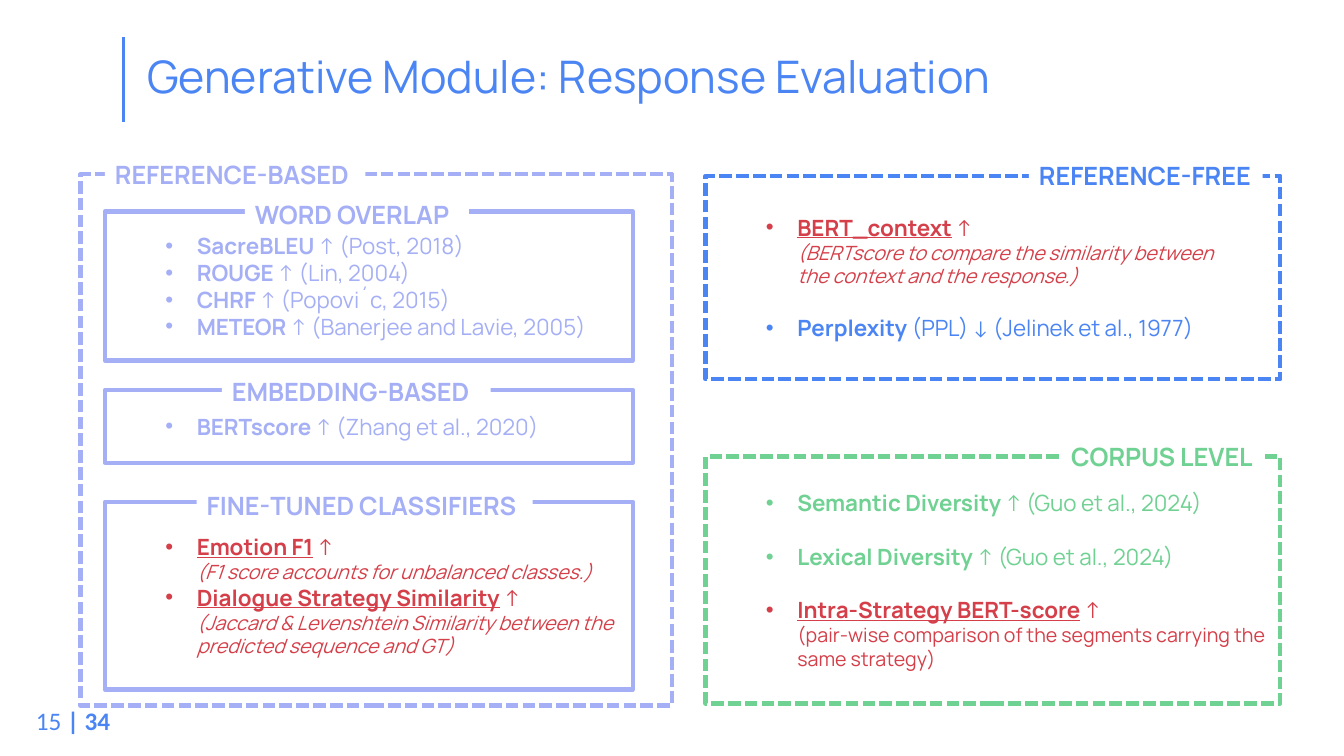
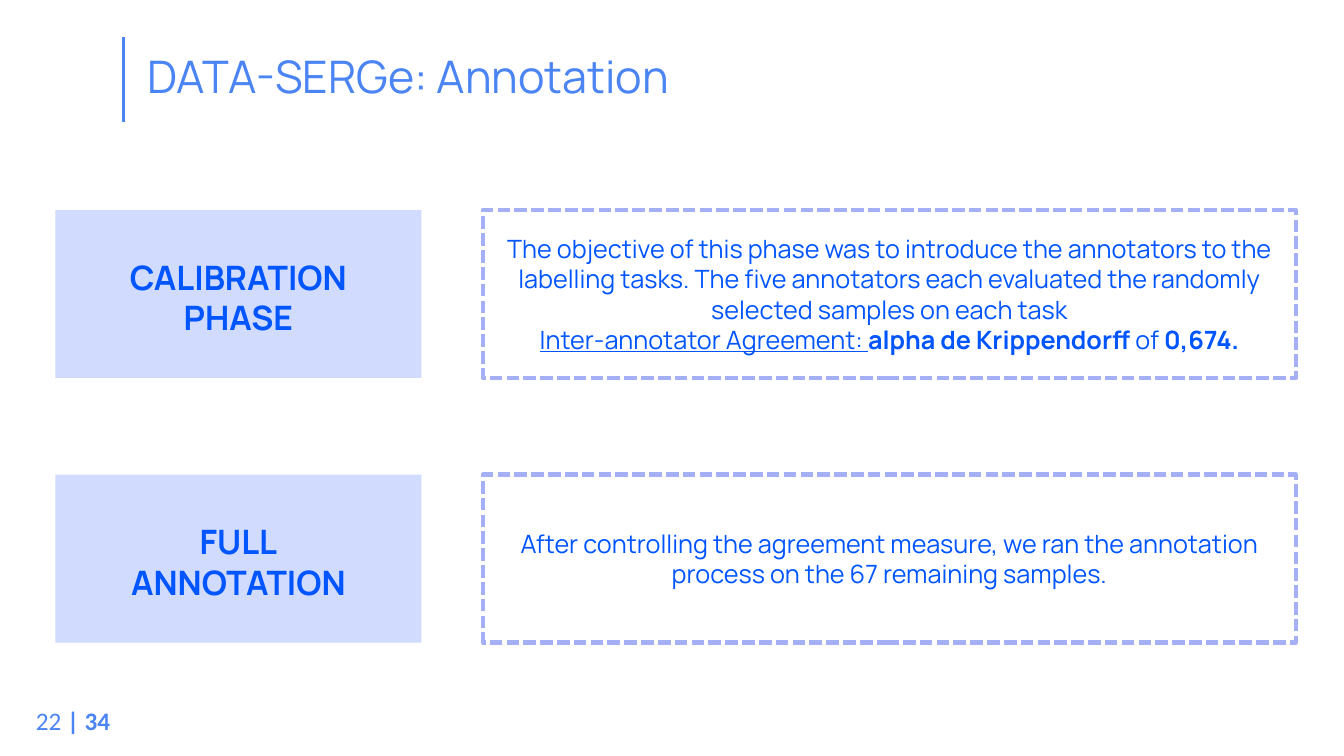
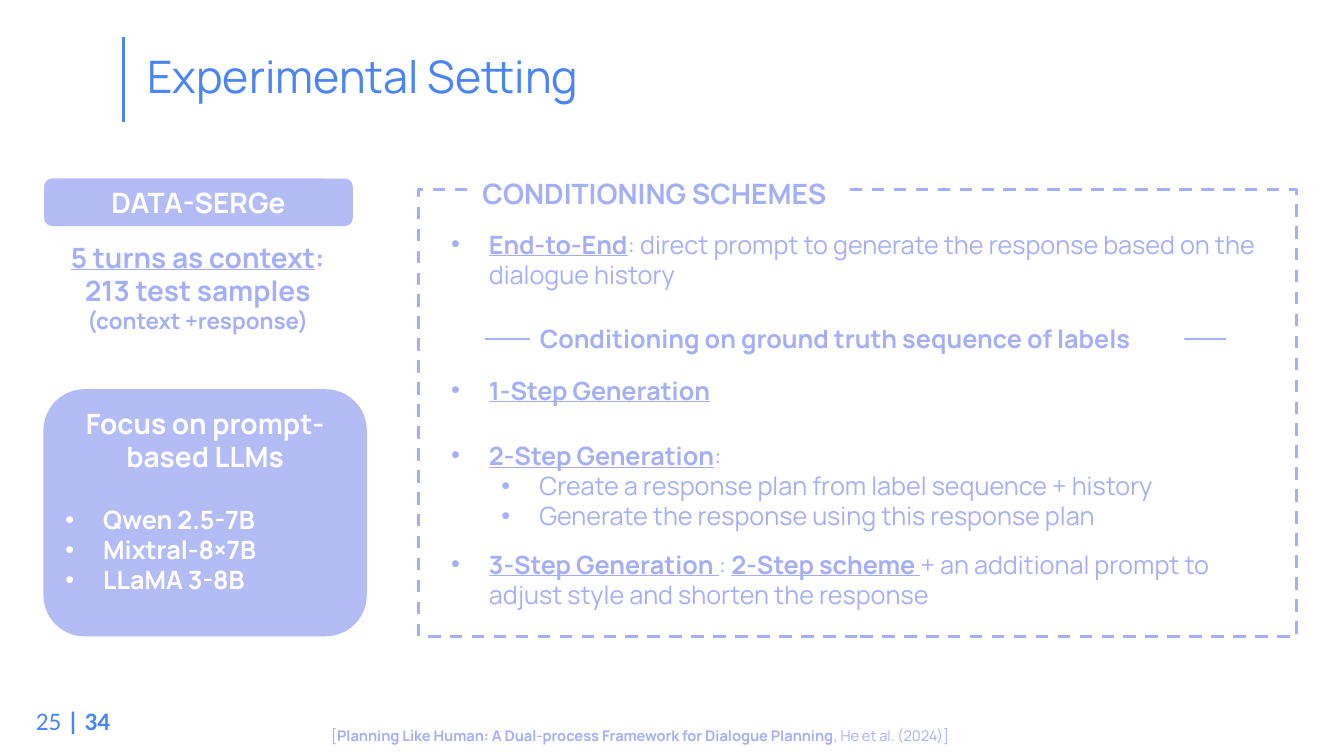
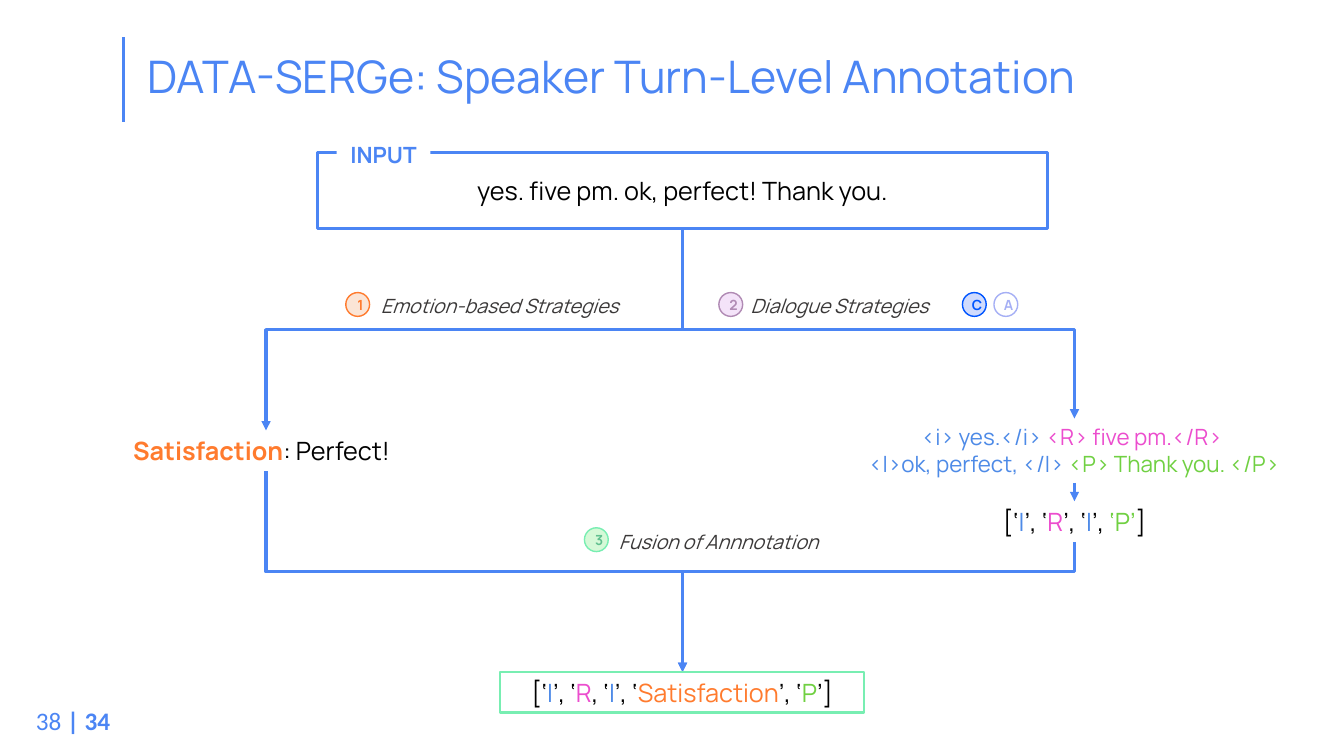
from copy import deepcopy

from pptx import Presentation
from pptx.dml.color import RGBColor
from pptx.enum.dml import MSO_LINE
from pptx.enum.shapes import MSO_CONNECTOR, MSO_SHAPE
from pptx.enum.text import MSO_ANCHOR, MSO_AUTO_SIZE, PP_ALIGN
from pptx.oxml.ns import qn
from pptx.oxml.xmlchemy import OxmlElement
from pptx.util import Pt

RECT, ROUND, OVAL = MSO_SHAPE.RECTANGLE, MSO_SHAPE.ROUNDED_RECTANGLE, MSO_SHAPE.OVAL
LINE, ELBOW = MSO_CONNECTOR.STRAIGHT, MSO_CONNECTOR.ELBOW
DOTS, DASH = MSO_LINE.SQUARE_DOT, MSO_LINE.DASH
LEFT, MID = PP_ALIGN.LEFT, PP_ALIGN.CENTER
TOP, CORE = MSO_ANCHOR.TOP, MSO_ANCHOR.MIDDLE

FONT = "Manrope"
TOTAL = 34
HUES = {
    "blue": "4B85F4", "lilac": "A5AFF5", "green": "6FD192", "red": "D43F49",
    "royal": "0055FF", "pale": "D0DBFD", "white": "FFFFFF", "black": "000000",
    "gray": "3A3838", "orange": "FF7B2E", "peach": "FBE5D6", "plum": "B08AB4",
    "mauve": "F4E3F9", "mint": "78EEB2", "foam": "D5F9D7", "leaf": "60C08F",
    "sky": "4D8AE7", "pink": "EC4DCE", "lime": "70D042",
}
DEEP, FLAT, SUB = (58.5, 22.5), (27, 27), (63, 27)


def para(*runs, dot=None, gap=0, align=LEFT):
    """A paragraph; a run is text or (text, flags from "bui", hue, size)."""
    return {"runs": runs, "dot": dot, "gap": gap, "align": align}


def item(*runs, gap=0):
    return para(*runs, dot=DEEP, gap=gap)


def cite(name, rest, gap=0):
    return item((name, "b"), rest, gap=gap)


def key(name, *more, gap=0):
    """A list item for one of the authors' own measures."""
    return item((name, "bu", "red"), (" ↑\v", "", "red"), *more, gap=gap)


# label, its left, top and width; frame; hue; dash; list
PANELS = [
    ("REFERENCE-BASED", (75, 110, 186), (57.5, 124.5, 422.5, 379.5), "lilac", DOTS, []),
    ("WORD OVERLAP", (175, 138.5, 160), (75, 151, 377, 106.5), "lilac", None, [
        cite("SacreBLEU", " ↑ (Post, 2018)"),
        cite("ROUGE", " ↑ (Lin, 2004)"),
        cite("CHRF", " ↑ (Popovi´c, 2015)"),
        cite("METEOR", " ↑ (Banerjee and Lavie, 2005)")]),
    ("EMBEDDING-BASED", (158.5, 265, 192), (75, 278.5, 377, 52), "lilac", None, [
        cite("BERTscore", " ↑ (Zhang et al., 2020)")]),
    ("FINE-TUNED CLASSIFIERS", (140.5, 347, 240), (75, 358.5, 377, 134), "lilac", None, [
        key("Emotion F1",
            ("(F1 score accounts for unbalanced classes.)", "i", "red", 14)),
        key("Dialogue Strategy Similarity",
            ("(Jaccard & Levenshtein Similarity between the predicted sequence and GT)",
             "i", "red", 14))]),
    ("REFERENCE-FREE", (735, 111, 167), (504, 125.5, 410.5, 145.5), "blue", DOTS, [
        key("BERT_context",
            ("(BERTscore to compare the similarity between\vthe context and the response.)",
             "i", "red", 14)),
        cite("Perplexity", " (PPL) ↓ (Jelinek et al., 1977)", gap=19)]),
    ("CORPUS LEVEL", (758, 312, 144), (504, 326, 410.5, 176.5), "green", DOTS, [
        cite("Semantic Diversity ", "↑ (Guo et al., 2024)"),
        cite("Lexical Diversity ", "↑ (Guo et al., 2024)", gap=19),
        key("Intra-Strategy BERT-score",
            ("(pair-wise comparison of the segments carrying the same strategy)",
             "", "red", 14), gap=19)]),
]

PHASES = [
    ("CALIBRATION\vPHASE", [
        "The objective of this phase was to introduce the annotators to the labelling "
        "tasks. The five annotators each evaluated the randomly selected samples on "
        "each task\v",
        ("Inter-annotator Agreement: ", "u"), ("alpha de Krippendorff ", "b"),
        "of ", ("0,674.", "b")]),
    ("FULL\vANNOTATION", [
        "After controlling the agreement measure, we ran the annotation process on "
        "the 67 remaining samples."]),
]

SCHEMES = [
    para(("End-to-End", "bu"), ": direct prompt to generate the response based on "
         "the dialogue history", dot=FLAT),
    para(("1-Step Generation", "bu"), dot=FLAT, gap=61),
    para(("2-Step Generation", "bu"), ":", dot=FLAT, gap=25),
    para("Create a response plan from label sequence + history", dot=SUB),
    para("Generate the response using this response plan", dot=SUB),
    para(("3-Step Generation ", "bu"), ": ", ("2-Step scheme ", "bu"),
         "+ an additional prompt to adjust style and shorten the response",
         dot=FLAT, gap=13),
]
MODELS = ["Qwen 2.5-7B", "Mixtral-8×7B", "LLaMA 3-8B"]

STEPS = [  # text, left, top, width
    ("Emotion-based Strategies", 265, 206.5, 201),
    ("Dialogue Strategies", 529, 206.5, 157),
    ("Fusion of Annnotation", 435, 375, 174),
]
BADGES = [  # text, left, top, fill, line, ink
    ("1", 247, 209, "peach", "orange", "orange"),
    ("2", 513.5, 209, "mauve", "plum", "plum"),
    ("3", 417.5, 377, "foam", "mint", "leaf"),
    ("C", 687.5, 209, "pale", "royal", "royal"),
    ("A", 710, 209, "white", "lilac", "lilac"),
]
I, R, P = ("I", "", "sky"), ("R", "", "pink"), ("P", "", "lime")
TAGS = [("<i> yes.</i> ", "", "sky"), ("<R> five pm.</R> \v", "", "pink"),
        ("<I>ok, perfect, </I> ", "", "sky"), ("<P> Thank you. </P>", "", "lime")]
LABELS = ["[‘", I, "’, ‘", R, "’, ‘", I, "’, ", ("‘P’", "", "lime"), "]"]
FUSED = ["[‘", I, "’, ‘", R, ", ‘", I, "’, ‘", ("Satisfaction", "", "orange"),
         "’, ‘", P, "’]"]


def rgb(hue):
    return RGBColor.from_string(HUES[hue])


def add_dot(line, left, hang):
    props = line._p.get_or_add_pPr()
    props.set("marL", str(Pt(left)))
    props.set("indent", str(-Pt(hang)))
    for tag, name, value in (("a:buFont", "typeface", "Arial"), ("a:buChar", "char", "•")):
        mark = OxmlElement(tag)
        mark.set(name, value)
        props.append(mark)


def add_text(line, text, flags, hue, size, face=FONT):
    """Add styled runs, with a line break at each vertical tab."""
    for n, piece in enumerate(text.split("\v")):
        if n:
            line.add_line_break()
            line._p[-1].append(deepcopy(run._r.rPr))
        if not piece:
            continue
        run = line.add_run()
        run.text = piece
        font = run.font
        font.name, font.size = face, Pt(size)
        font.bold, font.italic, font.underline = ("b" in flags, "i" in flags, "u" in flags)
        font.color.rgb = rgb(hue)


def write(frame, paras, hue, size, anchor=TOP, face=FONT):
    frame.word_wrap = True
    frame.auto_size = MSO_AUTO_SIZE.NONE
    frame.vertical_anchor = anchor
    for n, spec in enumerate(paras):
        line = frame.add_paragraph() if n else frame.paragraphs[0]
        if spec["dot"]:
            add_dot(line, *spec["dot"])
        line.alignment = spec["align"]
        line.space_before = Pt(spec["gap"])
        for run in spec["runs"]:
            run = (run,) if isinstance(run, str) else run
            text, flags, ink, big = run + ("", "", hue, size)[len(run):]
            add_text(line, text, flags, ink, big, face)


def note(slide, rect, paras, hue, size, fill=None, face=FONT):
    shape = slide.shapes.add_textbox(*map(Pt, rect))
    if fill:
        shape.fill.solid()
        shape.fill.fore_color.rgb = rgb(fill)
    write(shape.text_frame, paras, hue, size, face=face)


def box(slide, rect, kind=RECT, fill=None, line=None, width=3, dash=None):
    shape = slide.shapes.add_shape(kind, *map(Pt, rect))
    shape.shadow.inherit = False
    if fill:
        shape.fill.solid()
        shape.fill.fore_color.rgb = rgb(fill)
    else:
        shape.fill.background()
    if line:
        shape.line.color.rgb = rgb(line)
        shape.line.width = Pt(width)
        if dash:
            shape.line.dash_style = dash
    else:
        shape.line.fill.background()
    return shape


def fade(shape, share):
    """Set the opacity of a solid fill, in percent."""
    alpha = OxmlElement("a:alpha")
    alpha.set("val", str(share * 1000))
    shape._element.spPr.find(".//" + qn("a:srgbClr")).append(alpha)


def rule(slide, start, end, kind=LINE, hue="blue", width=2.25, head=False):
    link = slide.shapes.add_connector(kind, *map(Pt, start + end))
    link.line.color.rgb = rgb(hue)
    link.line.width = Pt(width)
    if head:
        tip = OxmlElement("a:tailEnd")
        tip.set("type", "triangle")
        link.line._get_or_add_ln().append(tip)
    link._element.spPr.append(OxmlElement("a:effectLst"))
    return link


def bend(slide, start, end, turn):
    """Arrow that goes down, across at height turn, and down again."""
    (x, y), (to, low) = start, end
    half, rise = (low - y) / 2, abs(to - x) / 2
    mid, core = (x + to) / 2, (y + low) / 2
    link = rule(slide, (mid - half, core - rise), (mid + half, core + rise),
                ELBOW, head=True)
    props = link._element.spPr
    frame = props.find(qn("a:xfrm"))
    frame.set("rot", str((90 if to < x else 270) * 60000))
    if to > x:
        frame.set("flipH", "1")
    guide = OxmlElement("a:gd")
    guide.set("name", "adj1")
    guide.set("fmla", f"val {round((turn - y) / (low - y) * 100000)}")
    props.find(qn("a:prstGeom")).get_or_add_avLst().append(guide)


def page(deck, title, number, layout=5):
    slide = deck.slides.add_slide(deck.slide_layouts[layout])
    head = slide.shapes.title
    head.left, head.top, head.width, head.height = map(Pt, (98, 4, 828, 104.5))
    write(head.text_frame, [para(title)], "blue", 32, CORE)
    head.text_frame.paragraphs[0].line_spacing = 0.9
    rule(slide, (88.5, 26.5), (88.5, 87))
    note(slide, (18.5, 500.5, 80, 29), [para(f"{number} ", (f"| {TOTAL}", "b"))],
         "blue", 18, face="Calibri")
    return slide


def metrics(deck):
    slide = page(deck, "Generative Module: Response Evaluation", 15)
    for name, (x, y, wide), frame, hue, dash, rows in PANELS:
        shape = box(slide, frame, fill="white", line=hue, dash=dash)
        if rows:
            write(shape.text_frame, rows, hue, 16, CORE)
        note(slide, (x, y, wide, 29), [para((name, "b"))], hue, 18, "white")


def phases(deck):
    slide = page(deck, "DATA-SERGe: Annotation", 22)
    for n, (name, runs) in enumerate(PHASES):
        y = 150 + 189 * n
        card = box(slide, (39.5, y, 261.5, 120), fill="pale")
        card.text_frame.margin_top = Pt(8)
        write(card.text_frame, [para((name, "b"), align=MID)], "royal", 24, CORE)
        side = box(slide, (345, y, 580.5, 120), fill="white", line="lilac", dash=DOTS)
        write(side.text_frame, [para(*runs, align=MID)], "royal", 18, CORE)


def setting(deck):
    slide = page(deck, "Experimental Setting", 25, layout=1)
    body = slide.placeholders[1]
    body.left, body.top, body.width, body.height = map(Pt, (315, 160, 592, 282))
    write(body.text_frame, SCHEMES, "lilac", 18)
    box(slide, (299, 135.5, 627, 319), line="lilac", width=2.25, dash=DASH)
    note(slide, (337.5, 122.5, 266.5, 31.5), [para(("CONDITIONING SCHEMES", "b"))],
         "lilac", 20, "white")
    rule(slide, (346.5, 242), (875.5, 242), hue="lilac", width=1.5)
    note(slide, (378.5, 227.5, 467.5, 29),
         [para(("Conditioning on ground truth sequence of labels", "b"))],
         "lilac", 18, "white")

    data = box(slide, (31.5, 127.5, 220.5, 34), ROUND, "lilac")
    write(data.text_frame, [para(("DATA-SERGe", "b"), align=MID)], "white", 20, CORE)
    focus = box(slide, (31, 278, 231, 176.5), ROUND, "lilac")
    rows = [para(("Focus on prompt-based LLMs", "b", "white", 20), align=MID)]
    rows += [para((name, "b"), dot=FLAT, gap=0 if n else 22)
             for n, name in enumerate(MODELS)]
    write(focus.text_frame, rows, "white", 18)
    for shape in (data, focus):
        fade(shape, 83)
    note(slide, (31, 168, 220.5, 78),
         [para(("5 turns as context", "bu"), (": 213 test samples\v", "b"),
               ("(context +response)", "b", "lilac", 16), align=MID)], "lilac", 20)
    note(slide, (229.5, 515.5, 501, 20),
         [para("[", ("Planning Like Human: A Dual-process Framework for Dialogue "
                     "Planning", "b"), ", He et al. (2024)]")], "lilac", 10.5)


def turns(deck):
    slide = page(deck, "DATA-SERGe: Speaker Turn-Level Annotation", 38)
    west, core, east = 190, 487.5, 767.5
    fork, join, end = 235.5, 408.5, 480
    bend(slide, (core, 163.5), (west, 307.5), fork)
    bend(slide, (core, 163.5), (east, 299), fork)
    bend(slide, (west, 336.5), (core, end), join)
    bend(slide, (east, 387.5), (core, end), join)
    rule(slide, (east, 345), (east, 358), head=True)

    start = box(slide, (226.5, 109, 522, 54.5), line="blue", width=2.25)
    write(start.text_frame,
          [para("yes. five pm. ok, perfect! Thank you.", align=MID)], "black", 18, CORE)
    note(slide, (240.5, 97, 67, 26.5), [para(("INPUT", "b"), align=MID)],
         "blue", 16, "white")
    for text, x, y, wide in STEPS:
        note(slide, (x, y, wide, 24.5), [para((text, "i"))], "gray", 14, "white")
    for text, x, y, fill, line, ink in BADGES:
        badge = box(slide, (x, y, 17, 17), OVAL, fill, line, 1)
        frame = badge.text_frame
        frame.margin_left = Pt(4)
        frame.margin_right = frame.margin_top = frame.margin_bottom = 0
        write(frame, [para((text, "b"), align=MID)], ink, 10, CORE)

    note(slide, (88, 307.5, 204.5, 29),
         [para(("Satisfaction", "b", "orange"), ": Perfect!")], "black", 18)
    note(slide, (608.5, 299, 317.5, 46), [para(*TAGS, align=MID)], "black", 16)
    note(slide, (677.5, 358, 180, 29), [para(*LABELS, align=MID)], "black", 18)
    last = box(slide, (357, end, 260.5, 29), line="mint", width=1.5)
    write(last.text_frame, [para(*FUSED, align=MID)], "black", 18)


def main():
    deck = Presentation()
    deck.slide_width, deck.slide_height = Pt(960), Pt(540)
    for build in (metrics, phases, setting, turns):
        build(deck)
    deck.save("out.pptx")


if __name__ == "__main__":
    main()
